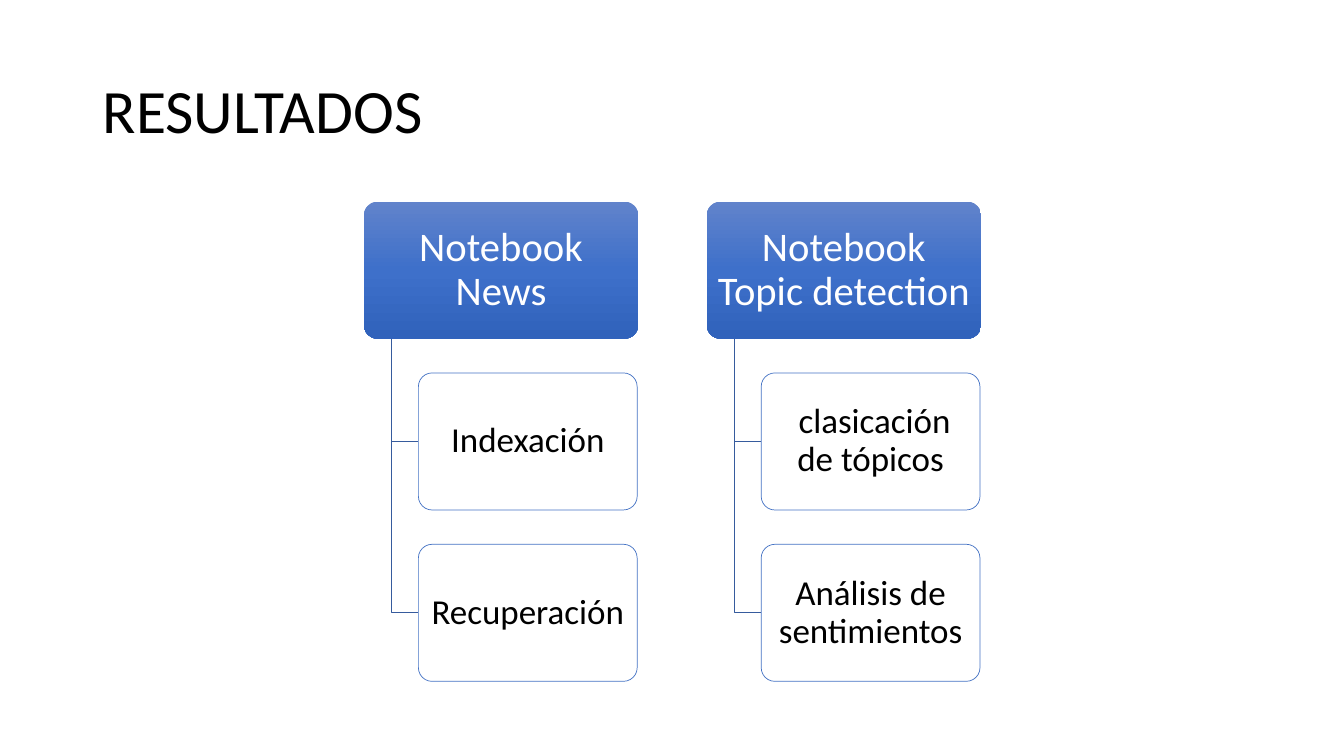
"""Build the results slide: two notebooks, each with its two steps."""
from copy import deepcopy

from lxml.etree import SubElement
from pptx import Presentation
from pptx.dml.color import RGBColor as RGB
from pptx.enum.shapes import MSO_SHAPE as Shape
from pptx.enum.text import MSO_ANCHOR as Anchor, PP_ALIGN as Align
from pptx.oxml.ns import qn
from pptx.util import Inches, Pt

HUES = {"top": "6183CB", "mid": "3E70CA", "low": "3062BB", "edge": "4472C4",
        "link": "365B9D", "white": "FFFFFF", "black": "000000"}
TREES = [("Notebook News", ["Indexación", "Recuperación"]),
         ("Notebook Topic detection",
          [" clasicación de tópicos", "Análisis de sentimientos"])]
LEFT, TOP = 3.61, 2
STEP_X, STEP_Y = 3.4, 1.7
HEAD_W, LEAF_W, BOX_H = 2.72, 2.17, 1.36
STEM, INDENT = 0.27, 0.54


def hue(name):
    return RGB.from_string(HUES[name])


def write(frame, text, size, color, align, pad):
    frame.word_wrap = True
    frame.vertical_anchor = Anchor.MIDDLE
    frame.margin_left = frame.margin_right = Inches(pad[0])
    frame.margin_top = frame.margin_bottom = Inches(pad[1])
    line = frame.paragraphs[0]
    line.text = text
    line.alignment = align
    line.line_spacing = 0.9
    line.font.name = "Calibri"
    line.font.size = Pt(size)
    line.font.color.rgb = hue(color)


def add_box(slide, x, y, width):
    box = slide.shapes.add_shape(Shape.ROUNDED_RECTANGLE, Inches(x), Inches(y),
                                 Inches(width), Inches(BOX_H))
    box.adjustments[0] = 0.1
    box.shadow.inherit = False
    return box


def add_head(slide, x, y, text):
    box = add_box(slide, x, y, HEAD_W)
    box.line.fill.background()
    box.fill.gradient()
    box.fill.gradient_angle = 270
    stops = box._element.spPr.find(qn("a:gradFill")).find(qn("a:gsLst"))
    stops.insert(1, deepcopy(stops[0]))
    for stop, place, name in zip(box.fill.gradient_stops, (0, 0.5, 1),
                                 ("top", "mid", "low")):
        stop.position = place
        stop.color.rgb = hue(name)
    write(box.text_frame, text, 29, "white", Align.CENTER, (0.06, 0.04))


def add_leaf(slide, x, y, text):
    box = add_box(slide, x, y, LEAF_W)
    box.fill.solid()
    box.fill.fore_color.rgb = hue("white")
    tint = box._element.spPr.find(qn("a:solidFill"))[0]
    SubElement(tint, qn("a:alpha")).set("val", "90000")
    box.line.color.rgb = hue("edge")
    box.line.width = Pt(0.5)
    write(box.text_frame, text, 25, "black", Align.CENTER, (0.05, 0.03))


def add_link(slide, x, top, low):
    pen = slide.shapes.build_freeform(Inches(x), Inches(top))
    pen.add_line_segments([(Inches(x), Inches(low)),
                           (Inches(x + STEM), Inches(low))], close=False)
    link = pen.convert_to_shape()
    link.shadow.inherit = False
    link.fill.background()
    link.line.color.rgb = hue("link")
    link.line.width = Pt(0.5)


def add_tree(slide, x, head, leaves):
    add_head(slide, x, TOP, head)
    for row, leaf in enumerate(leaves, 1):
        y = TOP + row * STEP_Y
        add_link(slide, x + STEM, TOP + BOX_H, y + BOX_H / 2)
        add_leaf(slide, x + INDENT, y, leaf)


def main():
    deck = Presentation()
    deck.slide_width, deck.slide_height = Inches(13.33), Inches(7.5)
    slide = deck.slides.add_slide(deck.slide_layouts[6])
    title = slide.shapes.add_textbox(Inches(0.92), Inches(0.4),
                                     Inches(11.5), Inches(1.45))
    write(title.text_frame, "RESULTADOS", 44, "black", Align.LEFT, (0.1, 0.05))
    for col, (head, leaves) in enumerate(TREES):
        add_tree(slide, LEFT + col * STEP_X, head, leaves)
    deck.save("out.pptx")


if __name__ == "__main__":
    main()
